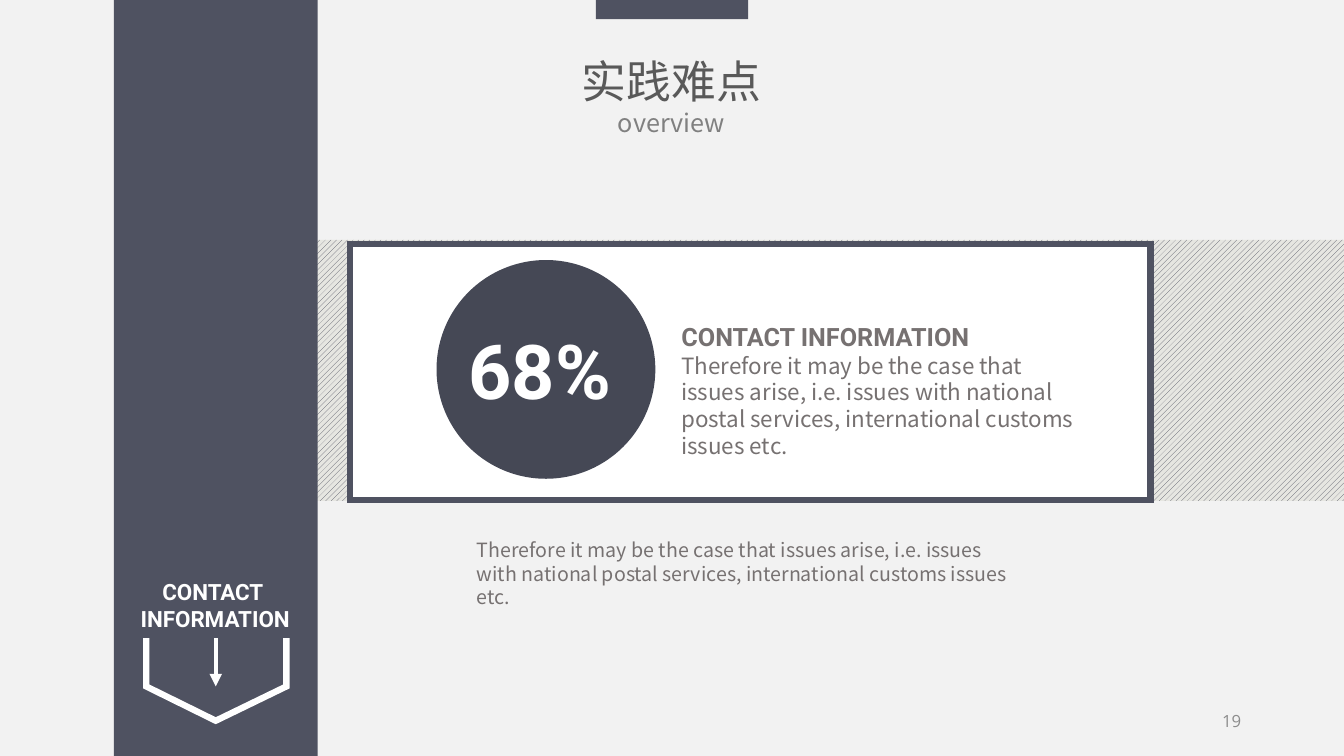
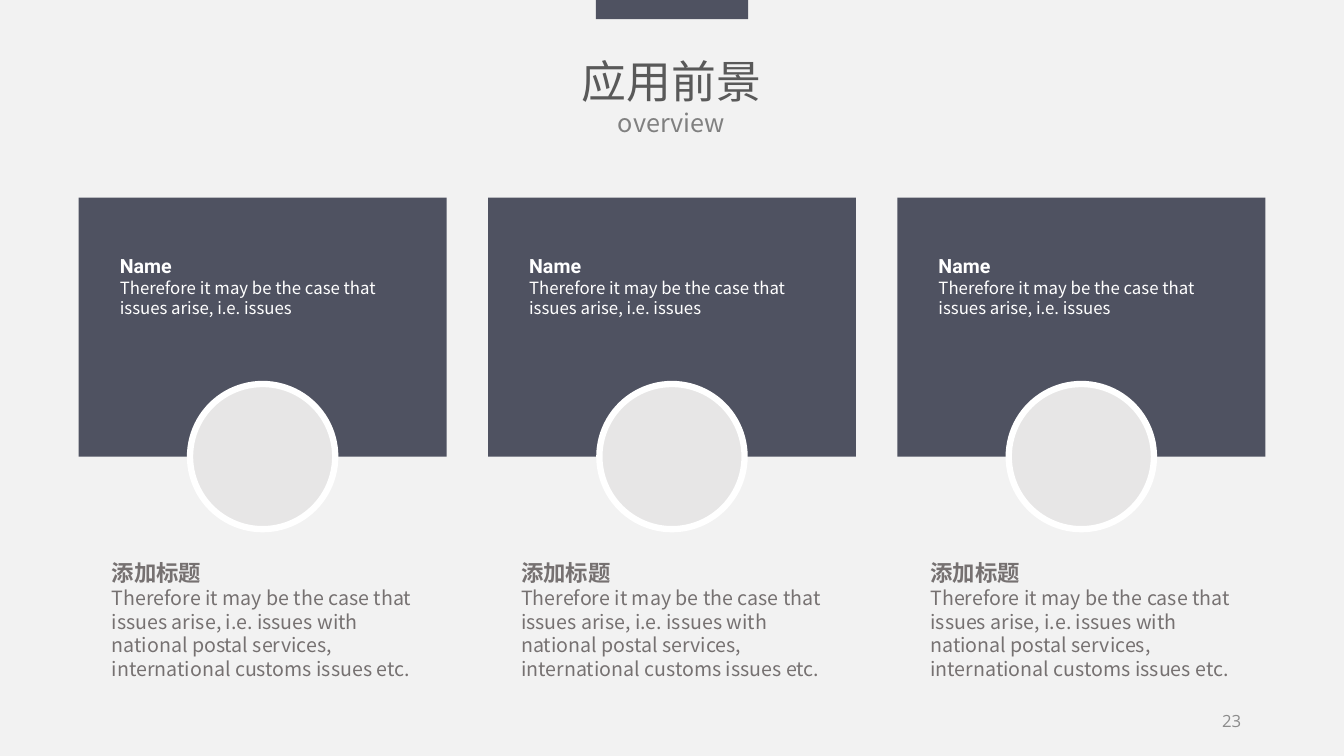
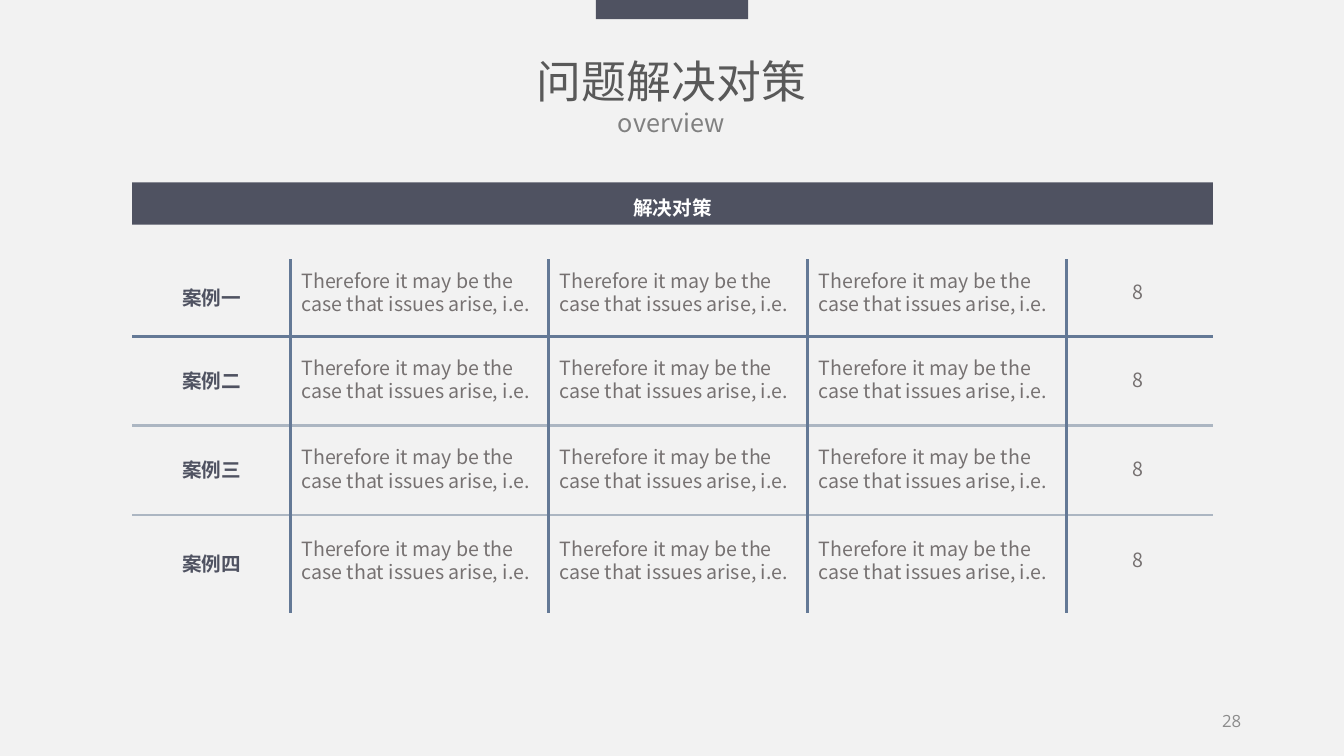
from pptx import Presentation
from pptx.dml.color import RGBColor
from pptx.enum.dml import MSO_PATTERN
from pptx.enum.shapes import MSO_CONNECTOR, MSO_SHAPE
from pptx.enum.text import MSO_ANCHOR, MSO_AUTO_SIZE, PP_ALIGN
from pptx.oxml.ns import qn
from pptx.util import Inches, Pt
from lxml import etree

RECT, OVAL = MSO_SHAPE.RECTANGLE, MSO_SHAPE.OVAL
STRAIGHT = MSO_CONNECTOR.STRAIGHT
HATCH = MSO_PATTERN.WIDE_UPWARD_DIAGONAL
LEFT, CENTER, RIGHT = PP_ALIGN.LEFT, PP_ALIGN.CENTER, PP_ALIGN.RIGHT
TOP, MIDDLE = MSO_ANCHOR.TOP, MSO_ANCHOR.MIDDLE
NO_FIT = MSO_AUTO_SIZE.NONE

PAPER = RGBColor(0xF2, 0xF2, 0xF2)
NAVY = RGBColor(0x4F, 0x52, 0x61)
DARK = RGBColor(0x45, 0x48, 0x55)
WHITE = RGBColor(0xFF, 0xFF, 0xFF)
TEXT = RGBColor(0x76, 0x71, 0x71)
TITLE = RGBColor(0x59, 0x59, 0x59)
SUBTITLE = RGBColor(0x80, 0x80, 0x80)
NUMBER = RGBColor(0x8C, 0x8C, 0x8C)
HATCH_BACK = RGBColor(0xE6, 0xE6, 0xE1)
DISC = RGBColor(0xE7, 0xE6, 0xE6)
STEEL = RGBColor(0x64, 0x79, 0x96)
PALE = RGBColor(0xAC, 0xB6, 0xC2)

SANS, HEAD, NUMERAL = "Noto Sans CJK SC", "Roboto", "Open Sans"
LINE_HEIGHT = 1.2
PAGE = (13.33, 7.5)

SHORT = "Therefore it may be the case that issues arise, i.e."
MEDIUM = SHORT + " issues"
LONG = MEDIUM + " with national postal services, international customs issues etc."

SUBTITLE_TEXT = "overview"
DIFFICULTY = {"title": "实践难点", "number": "19"}
PROSPECT = {"title": "应用前景", "number": "23"}
SOLUTION = {"title": "问题解决对策", "number": "28"}
CARDS = [("Name", MEDIUM, "添加标题", LONG)] * 3
TABLE_HEADING = "解决对策"
CASES = [(name, SHORT, SHORT, SHORT, "8") for name in ("案例一", "案例二", "案例三", "案例四")]
COLUMN_EDGES = [1.31, 2.88, 5.44, 8.01, 10.58, 12.03]
ROW_EDGES = [2.57, 3.34, 4.22, 5.11, 6.08]
ROW_RULES = [STEEL, PALE, PALE]
ROW_LIFT = [0.08, 0, 0, 0.04]
ARROW_OUTLINE = [(2.84, 6.33), (2.84, 6.81), (2.14, 7.15), (1.45, 6.81), (1.45, 6.33)]


def style(size, color, font=SANS, bold=False, align=LEFT, spacing=None):
    return {"size": size, "color": color, "font": font, "bold": bold,
            "align": align, "spacing": spacing or Pt(size * LINE_HEIGHT)}


def write(tf, paragraphs, anchor=TOP, wrap=True, **margins):
    tf.word_wrap = wrap
    tf.auto_size = NO_FIT
    tf.vertical_anchor = anchor
    for side, value in margins.items():
        setattr(tf, "margin_" + side, Inches(value))
    fill_paragraphs(tf, paragraphs)


def fill_paragraphs(tf, paragraphs):
    for i, (text, fmt) in enumerate(paragraphs):
        p = tf.add_paragraph() if i else tf.paragraphs[0]
        p.alignment = fmt["align"]
        p.line_spacing = fmt["spacing"]
        r = p.add_run()
        r.text = text
        for name, value in {"name": fmt["font"], "size": Pt(fmt["size"]), "bold": fmt["bold"]}.items():
            setattr(r.font, name, value)
        r.font.color.rgb = fmt["color"]
        ea = etree.SubElement(r.font._element, qn("a:ea"))
        ea.set("typeface", SANS)


def box(s, at, paragraphs, **options):
    tb = s.shapes.add_textbox(*map(Inches, at))
    write(tb.text_frame, paragraphs, **options)


def outline(sp, color, width):
    sp.line.color.rgb = color
    sp.line.width = Pt(width)
    etree.SubElement(sp.line._get_or_add_ln(), qn("a:miter")).set("lim", "800000")


def block(s, kind, at, fill, line=None, width=4.5):
    sp = s.shapes.add_shape(kind, *map(Inches, at))
    sp.shadow.inherit = False
    sp.fill.solid()
    sp.fill.fore_color.rgb = fill
    if line is None:
        sp.line.fill.background()
    else:
        outline(sp, line, width)
    return sp


def rule(s, ends, color, width=2):
    line = s.shapes.add_connector(STRAIGHT, *map(Inches, ends))
    outline(line, color, width)
    etree.SubElement(line._element.spPr, qn("a:effectLst"))
    return line


def new_slide(prs, content):
    s = prs.slides.add_slide(prs.slide_layouts[5])
    title = s.shapes.title
    for name, value in zip(("left", "top", "width", "height"), (3.16, 0.48, 7, 0.94)):
        setattr(title, name, Inches(value))
    write(title.text_frame, [(content["title"], style(32, TITLE, align=CENTER)),
                             (SUBTITLE_TEXT, style(18, SUBTITLE, align=CENTER))])
    block(s, RECT, (5.91, 0, 1.51, 0.19), NAVY)
    box(s, (11.98, 6.95, 0.43, 0.4), [(content["number"], style(12, NUMBER, NUMERAL, align=RIGHT))],
        anchor=MIDDLE, wrap=False)
    return s


def difficulty_slide(prs):
    s = new_slide(prs, DIFFICULTY)
    band = block(s, RECT, (2.68, 2.38, 10.65, 2.59), HATCH_BACK)
    band.fill.patterned()
    band.fill.pattern = HATCH
    band.fill.fore_color.rgb = NAVY
    band.fill.back_color.rgb = HATCH_BACK
    block(s, RECT, (1.13, 0, 2.02, 7.5), NAVY)

    x, y = ARROW_OUTLINE[0]
    builder = s.shapes.build_freeform(Inches(x), Inches(y))
    builder.add_line_segments([(Inches(x), Inches(y)) for x, y in ARROW_OUTLINE[1:]], close=False)
    pocket = builder.convert_to_shape()
    pocket.shadow.inherit = False
    pocket.fill.background()
    outline(pocket, WHITE, 4.5)

    arrow = rule(s, (2.14, 6.33, 2.14, 6.81), WHITE, 3)
    etree.SubElement(arrow.line._get_or_add_ln(), qn("a:tailEnd")).set("type", "triangle")

    label = style(16, WHITE, HEAD, True, CENTER)
    box(s, (1.21, 5.69, 1.85, 0.64), [("CONTACT ", label), ("INFORMATION", label)])

    block(s, RECT, (3.47, 2.42, 7.94, 2.54), WHITE, NAVY)
    box(s, (6.66, 2.99, 4.21, 1.63), [("CONTACT INFORMATION", style(18, TEXT, HEAD, True, spacing=1.5)),
                                      (LONG, style(16, TEXT))])
    box(s, (4.63, 5.29, 5.63, 0.81), [(LONG, style(14, TEXT))])
    disc = block(s, OVAL, (4.33, 2.58, 2.17, 2.17), DARK)
    write(disc.text_frame, [("68%", style(54, WHITE, HEAD, True, CENTER))],
          anchor=MIDDLE, wrap=False, left=0, right=0.12)


def prospect_slide(prs):
    s = new_slide(prs, PROSPECT)
    width, height, disc = 3.65, 2.57, 1.44
    top, step = 1.96, 4.06
    for i, (name, note, heading, body) in enumerate(CARDS):
        left = 0.78 + i * step
        block(s, RECT, (left, top, width, height), NAVY)
        block(s, OVAL, (left + (width - disc) / 2, top + height - disc / 2, disc, disc), DISC, WHITE)
        box(s, (left + 0.31, 2.47, 3.04, 0.74), [(name, style(14, WHITE, HEAD, True)),
                                                 (note, style(12, WHITE))])
        box(s, (left + 0.23, 5.5, 3.2, 1.31), [(heading, style(16, TEXT, HEAD, True)),
                                               (body, style(14, TEXT))])


def clear_borders(cell):
    tcPr = cell._tc.get_or_add_tcPr()
    for i, side in enumerate("LRTB"):
        ln = etree.Element(qn("a:ln" + side))
        etree.SubElement(ln, qn("a:noFill"))
        tcPr.insert(i, ln)


def solution_slide(prs):
    s = new_slide(prs, SOLUTION)
    left, right = COLUMN_EDGES[0], COLUMN_EDGES[-1]
    top, bottom = ROW_EDGES[0], ROW_EDGES[-1]
    heading = block(s, RECT, (left, 1.81, right - left, 0.42), NAVY)
    write(heading.text_frame, [(TABLE_HEADING, style(14, WHITE, HEAD, True, CENTER))],
          anchor=MIDDLE, top=0.08, bottom=0)

    frame = s.shapes.add_table(len(CASES), len(CASES[0]),
                               *map(Inches, (left, top, right - left, bottom - top)))
    table = frame.table
    table.first_row = table.horz_banding = False
    for parts, edges, name in ((table.columns, COLUMN_EDGES, "width"), (table.rows, ROW_EDGES, "height")):
        for part, start, end in zip(parts, edges, edges[1:]):
            setattr(part, name, Inches(end - start))

    styles = ([style(14, NAVY, HEAD, True, CENTER)] + [style(14, TEXT)] * 3
              + [style(14, TEXT, align=CENTER)])
    for i, case in enumerate(CASES):
        for j, text in enumerate(case):
            cell = table.cell(i, j)
            cell.fill.background()
            cell.vertical_anchor = MIDDLE
            cell.margin_left = Inches(0.11)
            cell.margin_right = Inches(0.1 if j < len(case) - 1 else 0.15)
            cell.margin_top = Inches(0 if j else 0.03)
            cell.margin_bottom = Inches(ROW_LIFT[i] if j else 0)
            fill_paragraphs(cell.text_frame, [(text, styles[j])])
            clear_borders(cell)

    for y, color in zip(ROW_EDGES[1:-1], ROW_RULES):
        rule(s, (left, y, right, y), color)
    for x in COLUMN_EDGES[1:-1]:
        rule(s, (x, top, x, bottom), STEEL)


def add_backdrop(prs):
    s = prs.slides[0]
    backdrop = block(s, RECT, (0, 0, *PAGE), PAPER)
    prs.slide_layouts[5].shapes._spTree.insert(2, backdrop._element)


def main():
    prs = Presentation()
    prs.slide_width, prs.slide_height = map(Inches, PAGE)
    difficulty_slide(prs)
    prospect_slide(prs)
    solution_slide(prs)
    add_backdrop(prs)
    prs.save("out.pptx")


if __name__ == "__main__":
    main()
